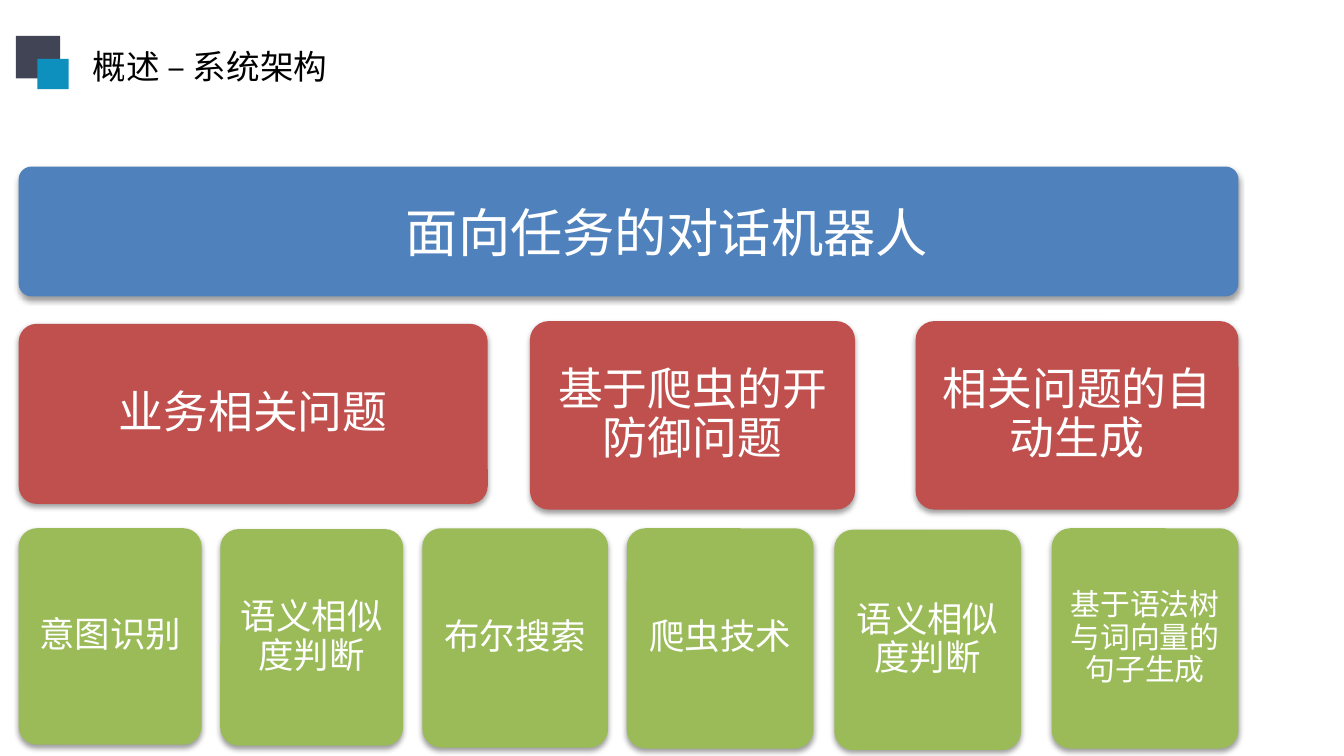
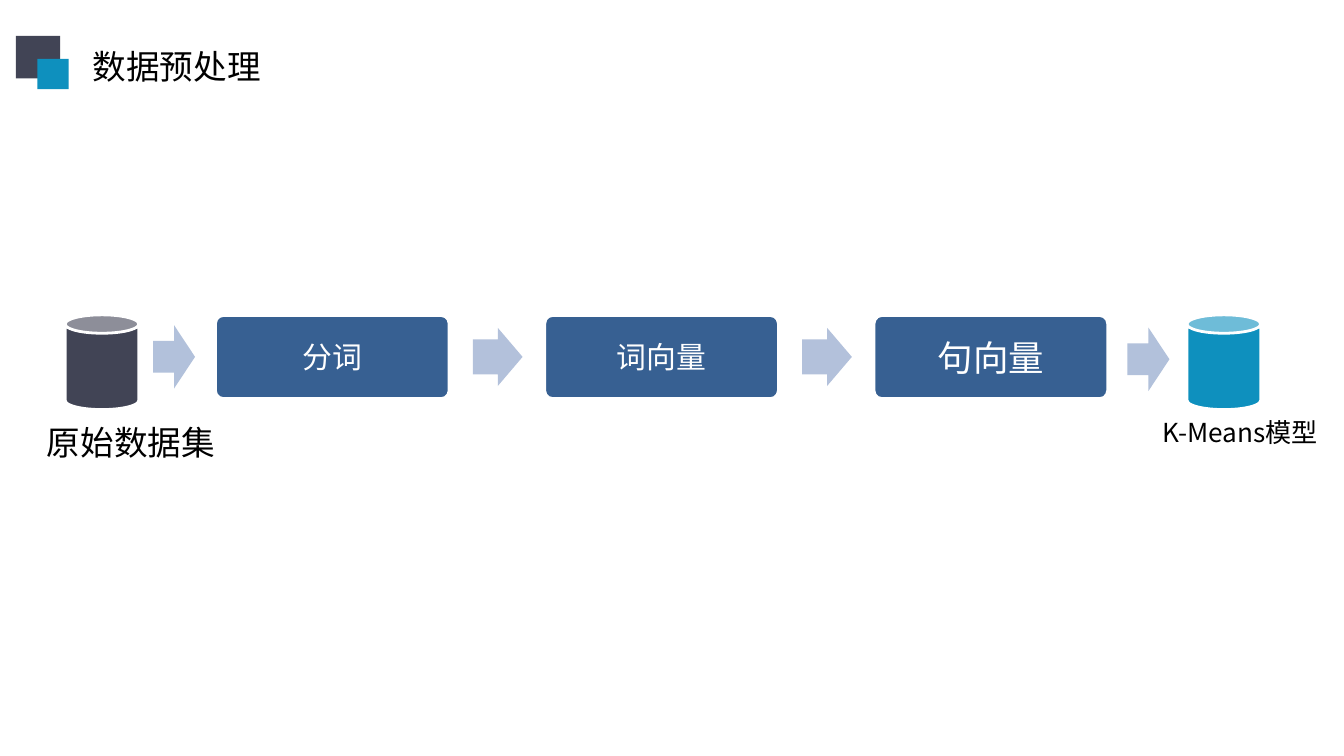
from lxml.etree import SubElement
from pptx import Presentation
from pptx.dml.color import RGBColor as RGB
from pptx.enum.shapes import MSO_SHAPE as SHAPE
from pptx.enum.text import MSO_ANCHOR as ANCHOR, MSO_AUTO_SIZE as AUTO, PP_ALIGN as ALIGN
from pptx.oxml.ns import qn
from pptx.util import Pt

COLORS = {
    "text": "000000", "white": "FFFFFF", "dark": "414455", "teal": "0E90BE",
    "system": "4F81BD", "module": "C0504D", "technique": "9BBB59",
    "step": "376092", "step_arrow": "B3C1DB", "end_arrow": "B2C1DB",
}
CJK = "Noto Sans CJK SC"
LATIN = "Calibri"

MODULES = [
    (10, 173.5, 251.3, 96.5, "业务相关问题"),
    (283.9, 172, 174.2, 101, "基于爬虫的开防御问题"),
    (490.5, 172, 173, 101, "相关问题的自动生成"),
]
TECHNIQUES = [
    (10, 283, 98, 116, "意图识别", 19),
    (118, 283.5, 98, 116, "语义相似度判断", 19),
    (226.3, 283, 99.5, 117.5, "布尔搜索", 19),
    (335.8, 283, 100, 118, "爬虫技术", 19),
    (447, 283.8, 100, 118, "语义相似度判断", 19),
    (563.5, 283, 100, 118, "基于语法树与词向量的句子生成", 16),
]
STEPS = [("分词", 16), ("词向量", 16), ("句向量", 19)]
STEP_LEFT, STEP_PITCH, ARROW_LEFT = 115.2, 176.4, 253.4


def add_run(p, text, size, color, font=CJK):
    """Append a run with its Latin and East Asian fonts."""
    r = p.add_run()
    r.text = text
    r.font.size = Pt(size)
    r.font.name = font
    r.font.color.rgb = RGB.from_string(COLORS[color])
    SubElement(r.font._element, qn("a:ea"), typeface=CJK)


def add_shape(slide, kind, box, fill, line=None, adj=()):
    """Add a flat preset shape; line is the width of a white outline."""
    sp = slide.shapes.add_shape(kind, *map(Pt, box))
    sp.shadow.inherit = False
    sp.fill.solid()
    sp.fill.fore_color.rgb = RGB.from_string(COLORS[fill])
    if line:
        sp.line.color.rgb = RGB.from_string(COLORS["white"])
        sp.line.width = Pt(line)
    else:
        sp.line.fill.background()
    for i, value in enumerate(adj):
        sp.adjustments[i] = value
    return sp


def add_shadow(sp):
    """Give a shape a soft shadow just below it."""
    effects = sp._element.spPr.find(qn("a:effectLst"))
    shadow = SubElement(effects, qn("a:outerShdw"), blurRad=str(Pt(3.1)),
                        dist=str(Pt(1.6)), dir="5400000", rotWithShape="0")
    black = SubElement(shadow, qn("a:srgbClr"), val="000000")
    SubElement(black, qn("a:alpha"), val="38000")


def add_card(slide, box, text, size, fill, margins, font=CJK, line=None):
    """Add a rounded box with centred white text; margins are left, top, right, bottom."""
    sp = add_shape(slide, SHAPE.ROUNDED_RECTANGLE, box, fill, line, [0.1])
    tf = sp.text_frame
    tf.word_wrap = True
    tf.vertical_anchor = ANCHOR.MIDDLE
    tf.margin_left, tf.margin_top, tf.margin_right, tf.margin_bottom = map(Pt, margins)
    p = tf.paragraphs[0]
    p.alignment = ALIGN.CENTER
    add_run(p, text, size, "white", font)
    return sp


def add_block(slide, box, text, size, fill, margins):
    """Add a card of the architecture diagram, tightly spaced and shadowed."""
    sp = add_card(slide, box, text, size, fill, margins, LATIN)
    sp.text_frame.paragraphs[0].line_spacing = 0.9
    add_shadow(sp)


def add_label(slide, box, text, size):
    """Add a black caption."""
    tf = slide.shapes.add_textbox(*map(Pt, box)).text_frame
    tf.word_wrap = True
    tf.auto_size = AUTO.SHAPE_TO_FIT_TEXT
    add_run(tf.paragraphs[0], text, size, "text")


def add_slide(prs, title, title_width):
    """Add a slide with its title and the two corner squares."""
    slide = prs.slides.add_slide(prs.slide_layouts[5])
    sp = slide.shapes.title
    sp.left, sp.top, sp.width, sp.height = map(Pt, (42.5, 21, title_width, 29))
    tf = sp.text_frame
    tf.word_wrap = False
    tf.auto_size = AUTO.SHAPE_TO_FIT_TEXT
    tf.vertical_anchor = ANCHOR.TOP
    p = tf.paragraphs[0]
    p.alignment = ALIGN.LEFT
    add_run(p, title, 18, "text")
    add_shape(slide, SHAPE.RECTANGLE, (8.5, 19.3, 23.7, 22.8), "dark")
    add_shape(slide, SHAPE.RECTANGLE, (20, 31.5, 16.8, 16.3), "teal")
    return slide


def build_architecture(prs):
    """Build the layered system architecture."""
    slide = add_slide(prs, "概述 – 系统架构", 144)
    add_block(slide, (10, 89.2, 653.5, 69.6), "面向任务的对话机器人", 28,
              "system", (61, 4, 20, 0))
    for *box, text in MODULES:
        add_block(slide, box, text, 24, "module", [7.2] * 4)
    for *box, text, size in TECHNIQUES:
        add_block(slide, box, text, size, "technique", [5.8] * 4)


def build_preprocessing(prs):
    """Build the flow from the raw data to the model."""
    slide = add_slide(prs, "数据预处理", 105)
    for i, (text, size) in enumerate(STEPS):
        shift = i * STEP_PITCH
        add_card(slide, (STEP_LEFT + shift, 168.8, 125.7, 45), text, size,
                 "step", [5] * 4, line=2)
        if i < len(STEPS) - 1:
            add_shape(slide, SHAPE.RIGHT_ARROW, (ARROW_LEFT + shift, 175.6, 26.6, 31.2),
                      "step_arrow", adj=(0.6, 0.5))
    for left, color in ((34.9, "dark"), (635.9, "teal")):
        add_shape(slide, SHAPE.CAN, (left, 168.7, 39.5, 50.8), color, 1.5)
    for left, top in ((82, 174.2), (604, 175.5)):
        add_shape(slide, SHAPE.RIGHT_ARROW, (left, top, 22.5, 34), "end_arrow")
    add_label(slide, (18, 222.5, 120, 29), "原始数据集", 18)
    add_label(slide, (615.5, 219.6, 120, 24.2), "K-Means模型", 14)


def main():
    """Build and save the presentation."""
    prs = Presentation()
    prs.slide_width, prs.slide_height = Pt(720), Pt(405)
    build_architecture(prs)
    build_preprocessing(prs)
    prs.save("out.pptx")


if __name__ == "__main__":
    main()
